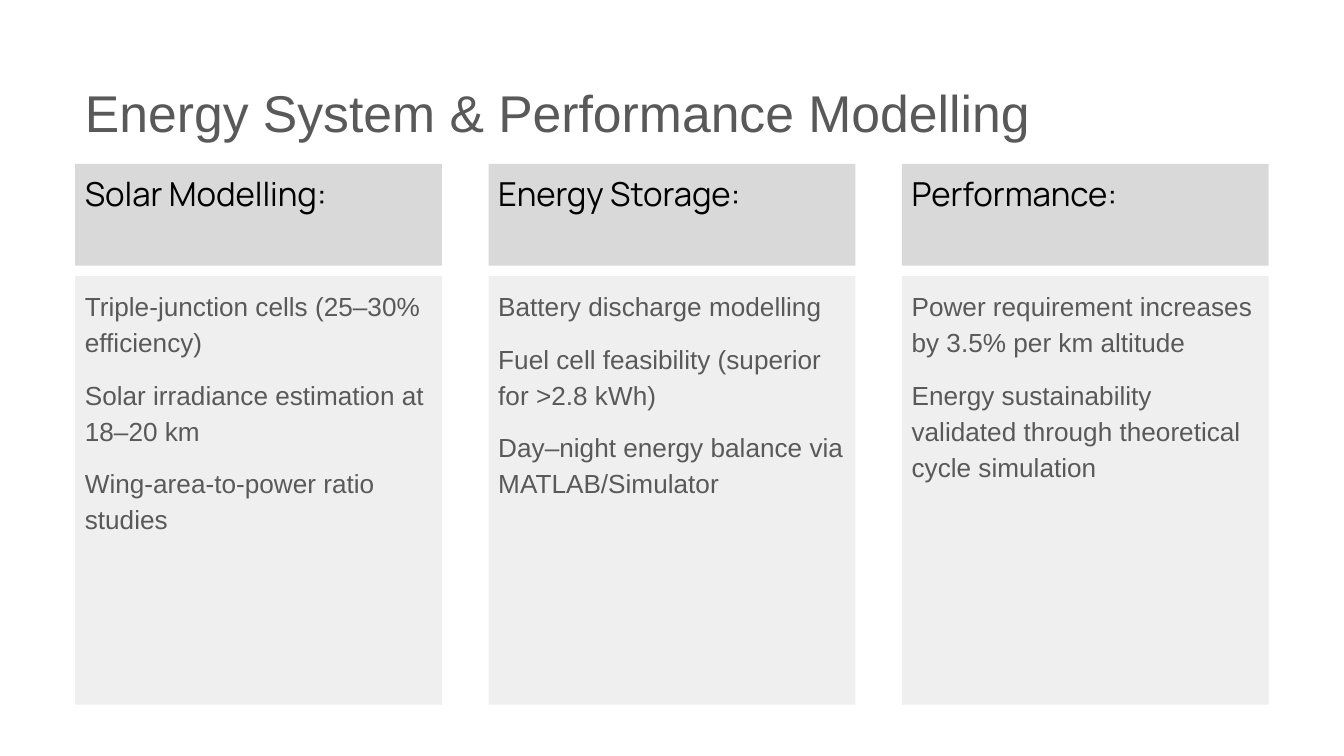
from dataclasses import dataclass

from pptx import Presentation
from pptx.dml.color import RGBColor as RGB
from pptx.enum.shapes import MSO_SHAPE as Shape
from pptx.enum.text import MSO_ANCHOR as Anchor, PP_ALIGN as Align
from pptx.util import Pt


@dataclass(frozen=True)
class Theme:
    text: RGB = RGB(0x59, 0x59, 0x59)
    heading_text: RGB = RGB(0, 0, 0)
    heading_fill: RGB = RGB(0xD9, 0xD9, 0xD9)
    body_fill: RGB = RGB(0xEF, 0xEF, 0xEF)
    text_font: str = "Arial"
    heading_font: str = "Manrope"
    title_size: float = 27.7
    heading_size: float = 17.7
    body_size: float = 14
    inset: float = 5.2
    line_spacing: float = 1.15
    paragraph_gap: float = 8.8


class SlideBuilder:
    def __init__(self, slide, theme):
        self.slide = slide
        self.theme = theme

    def set_text(self, shape, lines, font, size, color, anchor=Anchor.TOP):
        frame = shape.text_frame
        frame.word_wrap = True
        frame.vertical_anchor = anchor
        frame.margin_left = frame.margin_right = Pt(self.theme.inset)
        frame.margin_top = frame.margin_bottom = Pt(self.theme.inset)
        frame.text = "\n".join(lines)
        for paragraph in frame.paragraphs:
            paragraph.alignment = Align.LEFT
            for run in paragraph.runs:
                run.font.name = font
                run.font.size = Pt(size)
                run.font.color.rgb = color
        return frame.paragraphs

    def panel(self, box, fill):
        panel = self.slide.shapes.add_shape(Shape.RECTANGLE, *map(Pt, box))
        panel.shadow.inherit = False
        panel.fill.solid()
        panel.fill.fore_color.rgb = fill
        panel.line.fill.background()
        return panel

    def title(self, box, text):
        t = self.theme
        title = self.slide.shapes.add_textbox(*map(Pt, box))
        self.set_text(title, [text], t.text_font, t.title_size, t.text, Anchor.BOTTOM)

    def heading(self, box, text):
        t = self.theme
        panel = self.panel(box, t.heading_fill)
        self.set_text(panel, [text], t.heading_font, t.heading_size, t.heading_text)

    def body(self, box, points):
        t = self.theme
        panel = self.panel(box, t.body_fill)
        paragraphs = self.set_text(panel, points, t.text_font, t.body_size, t.text)
        for index, paragraph in enumerate(paragraphs):
            paragraph.line_spacing = t.line_spacing
            if index:
                paragraph.space_before = Pt(t.paragraph_gap)


# Layout in points
LEFT, CONTENT_WIDTH = 40.3, 639.4
COLUMN_WIDTH = 196.5
COLUMN_PITCH = (CONTENT_WIDTH - COLUMN_WIDTH) / 2
TITLE_TOP, HEADING_TOP, BODY_TOP = 27.4, 87.8, 148
HEADING_HEIGHT, BODY_HEIGHT = 54.5, 229.5

COLUMNS = [
    ("Solar Modelling:", [
        "Triple-junction cells (25–30% efficiency)",
        "Solar irradiance estimation at 18–20 km",
        "Wing-area-to-power ratio studies",
    ]),
    ("Energy Storage:", [
        "Battery discharge modelling",
        "Fuel cell feasibility (superior for >2.8 kWh)",
        "Day–night energy balance via MATLAB/Simulator",
    ]),
    ("Performance:", [
        "Power requirement increases by 3.5% per km altitude",
        "Energy sustainability validated through theoretical cycle simulation",
    ]),
]


def main():
    presentation = Presentation()
    presentation.slide_width = Pt(720)
    presentation.slide_height = Pt(405)
    slide = presentation.slides.add_slide(presentation.slide_layouts[6])
    builder = SlideBuilder(slide, Theme())

    # Slide title
    builder.title((LEFT, TITLE_TOP, CONTENT_WIDTH, HEADING_HEIGHT),
                  "Energy System & Performance Modelling")

    # Three topic columns
    for index, (heading, points) in enumerate(COLUMNS):
        left = LEFT + index * COLUMN_PITCH
        builder.heading((left, HEADING_TOP, COLUMN_WIDTH, HEADING_HEIGHT), heading)
        builder.body((left, BODY_TOP, COLUMN_WIDTH, BODY_HEIGHT), points)

    presentation.save("out.pptx")


if __name__ == "__main__":
    main()
